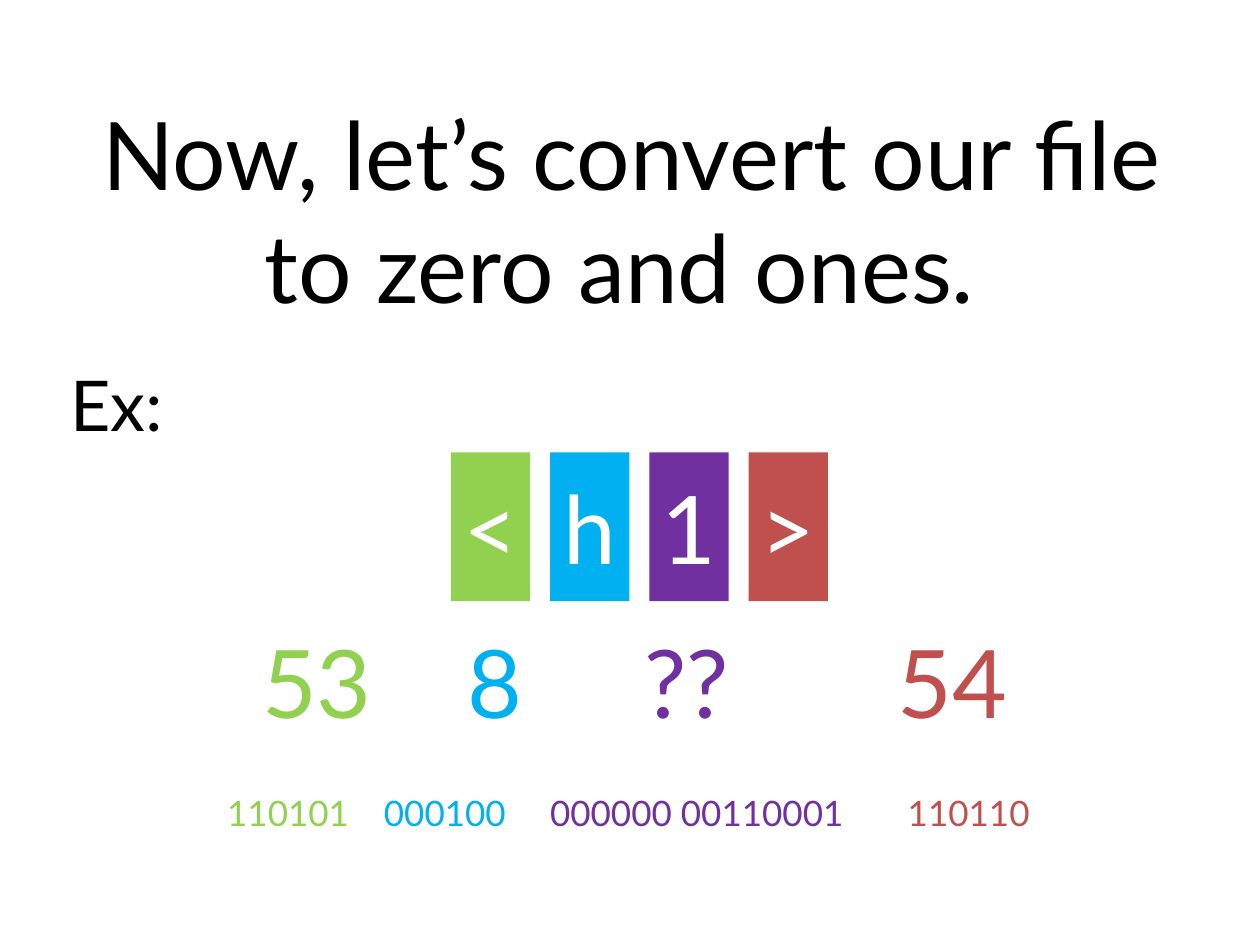
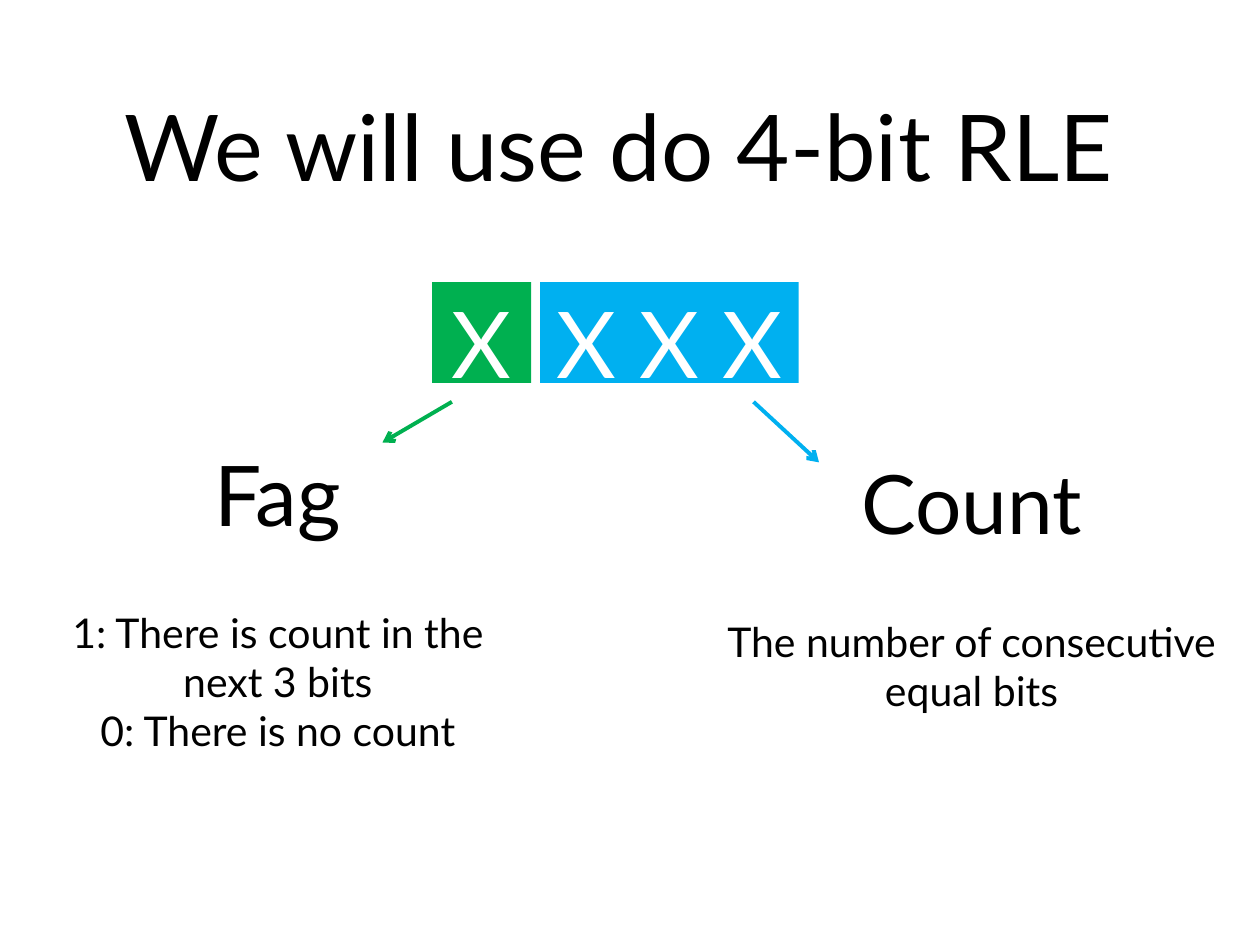
from dataclasses import dataclass

from lxml.etree import SubElement
from pptx import Presentation
from pptx.dml.color import RGBColor
from pptx.enum.shapes import MSO_CONNECTOR, MSO_SHAPE
from pptx.enum.text import MSO_ANCHOR, MSO_AUTO_SIZE, PP_ALIGN
from pptx.oxml.ns import qn
from pptx.util import Cm, Pt

FONT = "Lato"
BLACK = RGBColor(0x00, 0x00, 0x00)
WHITE = RGBColor(0xFF, 0xFF, 0xFF)
LIME = RGBColor(0x92, 0xD0, 0x50)
BLUE = RGBColor(0x00, 0xB0, 0xF0)
PURPLE = RGBColor(0x70, 0x30, 0xA0)
RED = RGBColor(0xC0, 0x50, 0x4D)
GREEN = RGBColor(0x00, 0xB0, 0x50)
SYMBOL_COLORS = (LIME, BLUE, PURPLE, RED)
TITLE_ONLY = 5


@dataclass
class Box:
    """A rectangle in centimetres."""

    left: float
    top: float
    width: float
    height: float

    def lengths(self):
        """Return the four values as slide lengths."""
        return Cm(self.left), Cm(self.top), Cm(self.width), Cm(self.height)


def write_text(shape, text, size=54, color=BLACK, align=PP_ALIGN.CENTER,
               wrap=True, side_inset=0.25, top_inset=0.0):
    """Write one formatted paragraph, vertically centred, into a shape."""
    frame = shape.text_frame
    frame.auto_size = MSO_AUTO_SIZE.NONE
    frame.word_wrap = wrap
    frame.vertical_anchor = MSO_ANCHOR.MIDDLE
    frame.margin_left = frame.margin_right = Cm(side_inset)
    frame.margin_top, frame.margin_bottom = Cm(top_inset), Cm(0)
    paragraph = frame.paragraphs[0]
    paragraph.text = text
    paragraph.alignment = align
    for run in paragraph.runs:
        run.font.name = FONT
        run.font.size = Pt(size)
        run.font.color.rgb = color


def add_text(slide, box, text, **text_format):
    """Add a text box."""
    write_text(slide.shapes.add_textbox(*box.lengths()), text, **text_format)


def add_tile(slide, box, text, fill, **text_format):
    """Add a plain coloured rectangle with white text."""
    shape = slide.shapes.add_shape(MSO_SHAPE.RECTANGLE, *box.lengths())
    shape.shadow.inherit = False
    shape.fill.solid()
    shape.fill.fore_color.rgb = fill
    shape.line.fill.background()
    write_text(shape, text, color=WHITE, wrap=False, side_inset=0, **text_format)


def add_arrow(slide, start, end, color):
    """Add a coloured line with an open arrowhead at its end."""
    points = [Cm(value) for value in (*start, *end)]
    connector = slide.shapes.add_connector(MSO_CONNECTOR.STRAIGHT, *points)
    connector.line.color.rgb = color
    connector.line.width = Pt(2.25)
    SubElement(connector.line._get_or_add_ln(), qn("a:tailEnd"), type="arrow")
    SubElement(connector._element.spPr, qn("a:effectLst"))


def add_titled_slide(presentation, box, title, **text_format):
    """Add a slide with its title placed in the given box."""
    slide = presentation.slides.add_slide(presentation.slide_layouts[TITLE_ONLY])
    shape = slide.shapes.title
    shape.left, shape.top, shape.width, shape.height = box.lengths()
    write_text(shape, title, **text_format)
    return slide


def add_symbol_tiles(slide, box, symbols):
    """Spread one tile per symbol evenly over the box."""
    tile_width = 1.6
    pitch = (box.width - tile_width) / (len(symbols) - 1)
    for index, (symbol, color) in enumerate(zip(symbols, SYMBOL_COLORS)):
        tile = Box(box.left + index * pitch, box.top, tile_width, box.height)
        add_tile(slide, tile, symbol, color)


def add_code_row(slide, box, codes, centers, size):
    """Add one coloured code per symbol, centred at offsets within the box."""
    for code, center, color in zip(codes, centers, SYMBOL_COLORS):
        width = 0.024 * size * len(code)
        cell = Box(box.left + center - width / 2, box.top, width, box.height)
        add_text(slide, cell, code, size=size, color=color, wrap=False, side_inset=0)


def add_bit_tiles(slide, box):
    """Add the flag bit and the count bits with an arrow below each."""
    flag_width, gap, size = 2.0, 0.18, 52.6
    count_left = box.left + flag_width + gap
    count_width = box.width - flag_width - gap
    add_tile(slide, Box(count_left, box.top, count_width, box.height),
             "X X X", BLUE, size=size, top_inset=0.36)
    add_tile(slide, Box(box.left, box.top, flag_width, box.height),
             "X", GREEN, size=size, top_inset=0.36)
    arrow_top = box.top + box.height + 0.38
    flag_start, count_start = box.left + 0.4, box.left + box.width - 0.91
    add_arrow(slide, (flag_start, arrow_top), (flag_start - 1.4, arrow_top + 0.82), GREEN)
    add_arrow(slide, (count_start, arrow_top), (count_start + 1.32, arrow_top + 1.22), BLUE)


def add_explanation(slide, box, heading, note, heading_size):
    """Add a heading with its note centred in the rest of the box."""
    heading_height = 2.8
    add_text(slide, Box(box.left, box.top, box.width, heading_height),
             heading, size=heading_size)
    add_text(slide, Box(box.left, box.top + heading_height, box.width,
                        box.height - heading_height), note, size=23.4)


def build_conversion_slide(presentation):
    """Build the slide that turns a tag into codes and bits."""
    slide = add_titled_slide(presentation, Box(1.3, 1.12, 22.86, 6.2),
                             "Now, let’s convert our file to zero and ones. ")
    add_text(slide, Box(1.17, 7.14, 3.12, 2), "Ex:", size=40, align=PP_ALIGN.LEFT)
    add_symbol_tiles(slide, Box(9.09, 9.12, 7.6, 3), "<h1>")
    add_code_row(slide, Box(1.3, 12.12, 22.86, 3.2), ("53", "8", "??", "54"),
                 (5.09, 8.68, 12.54, 17.9), size=54)
    add_code_row(slide, Box(1.3, 14.78, 22.86, 3.2),
                 ("110101", "000100", "000000 00110001", "110110"),
                 (4.51, 7.67, 12.75, 18.23), size=20)


def build_encoding_slide(presentation):
    """Build the slide that explains the flag and count bits."""
    slide = add_titled_slide(presentation, Box(1.04, 1.73, 22.86, 2.39),
                             "We will use do 4-bit RLE", size=52.6)
    add_bit_tiles(slide, Box(8.71, 5.69, 7.39, 2.03))
    add_explanation(slide, Box(0.55, 8.53, 10.1, 7.6), "Fag",
                    "1: There is count in the next 3 bits\v0: There is no count", 47.8)
    add_explanation(slide, Box(14.29, 8.71, 10.59, 6.63), "Count",
                    "The number of consecutive equal bits", 46.8)


def main():
    """Build and save the presentation."""
    presentation = Presentation()
    presentation.slide_width, presentation.slide_height = Cm(25.4), Cm(19.05)
    build_conversion_slide(presentation)
    build_encoding_slide(presentation)
    presentation.save("out.pptx")


main()
